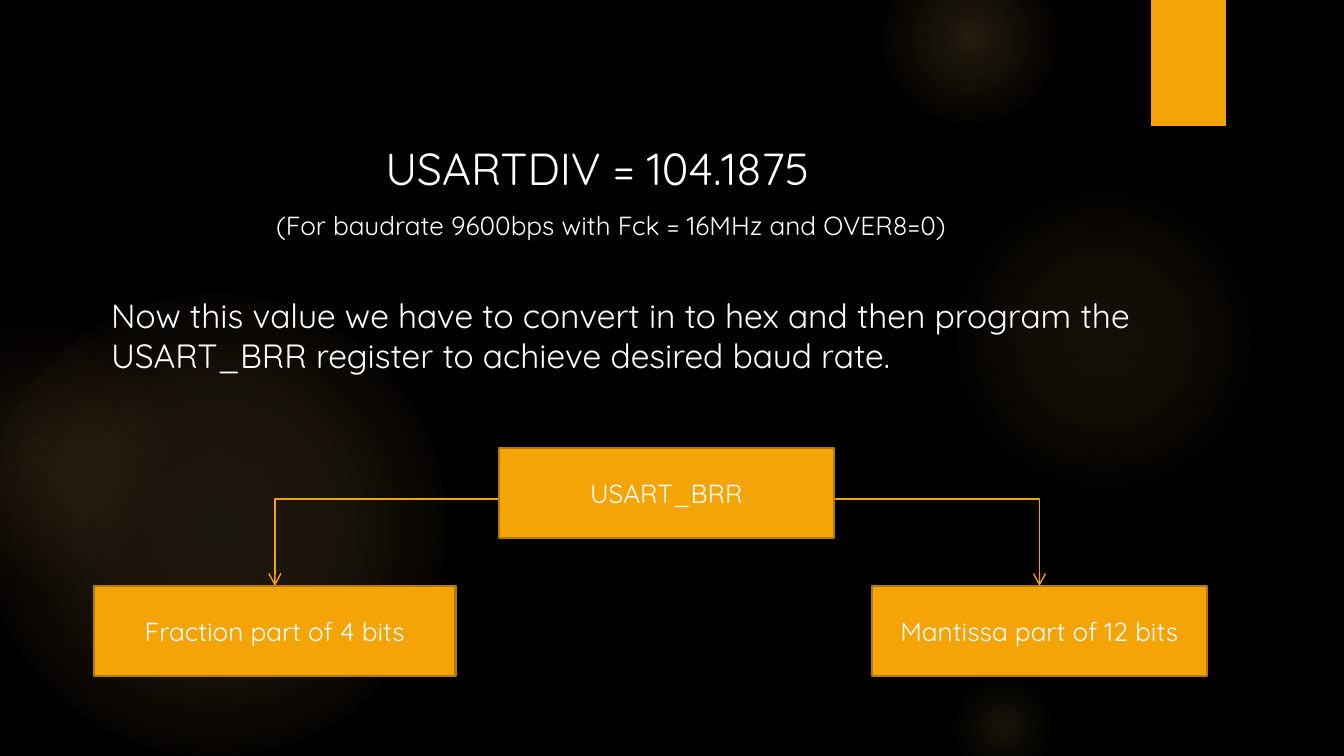
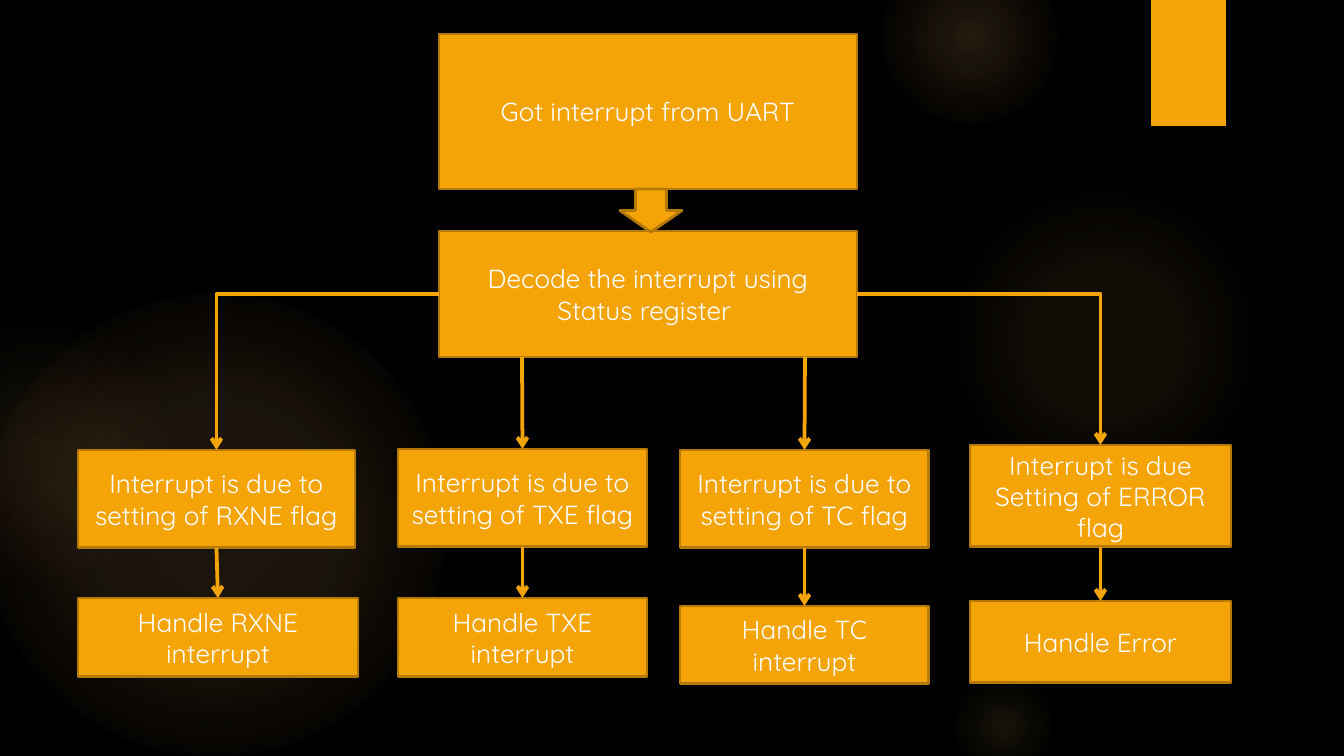
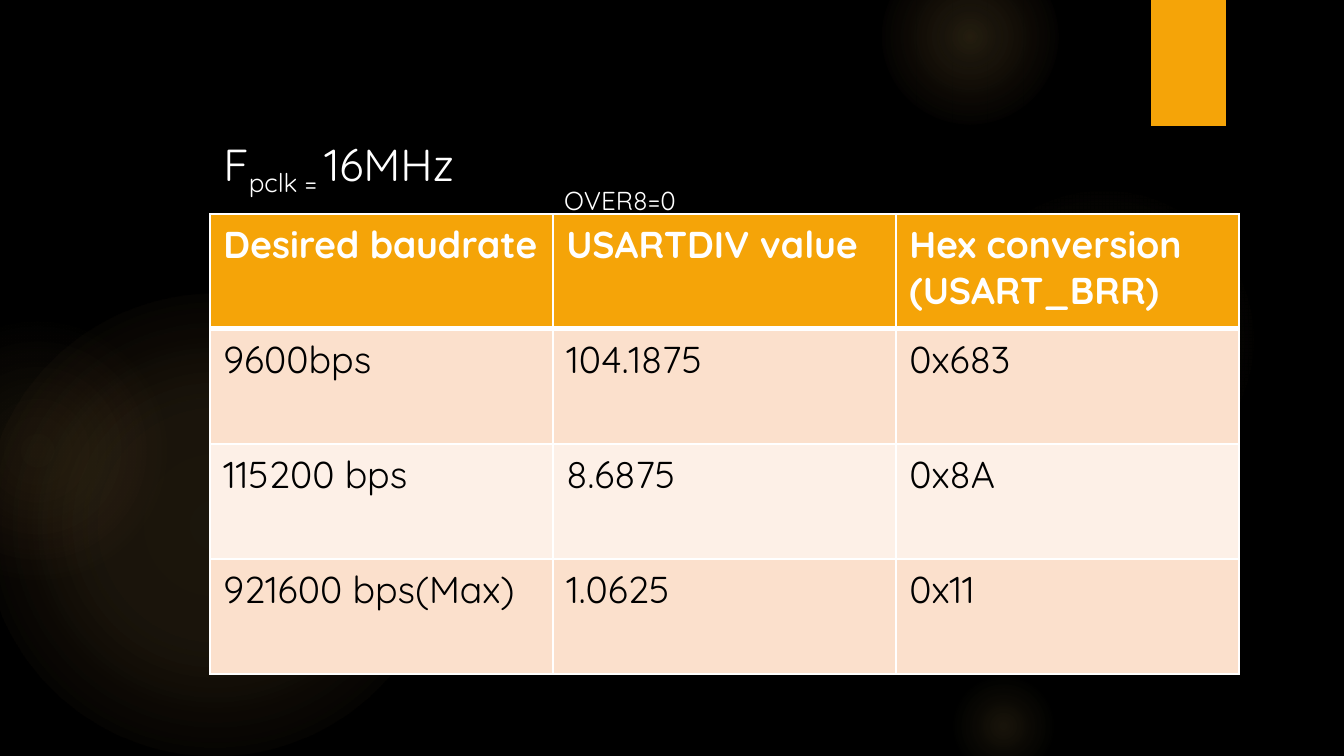
from lxml.etree import SubElement
from pptx import Presentation
from pptx.dml.color import RGBColor
from pptx.enum.shapes import MSO_CONNECTOR as Connector, MSO_SHAPE as Shape
from pptx.enum.text import MSO_ANCHOR as Anchor, MSO_AUTO_SIZE as AutoSize, PP_ALIGN as Align
from pptx.oxml.ns import qn
from pptx.util import Emu, Pt

PX = 9144000 / 1344
FONT = "Quicksand"
COLORS = {
    "background": "000000",
    "accent": "F5A408",
    "outline": "B57906",
    "light": "FFFFFF",
    "dark": "000000",
    "glow": "FAC96A",
    "ember": "F59B74",
    "band_odd": "FBE0CC",
    "band_even": "FDF0E7",
}
TITLE_ONLY, BLANK = 5, 6
TOP, LEFT, BOTTOM, RIGHT = range(4)

# Each glow: left, top, size, then (position %, colour, opacity %)
GLOWS = [
    (-17, 294, 462, [(0, "glow", 11), (36, "glow", 10), (75, "glow", 0)]),
    (-93, 320, 261, [(0, "glow", 8), (36, "glow", 5), (71, "ember", 0)]),
    (949, 185, 310, [(0, "glow", 7), (36, "glow", 6), (69, "glow", 0)]),
    (882, -51, 176, [(0, "glow", 14), (36, "glow", 7), (73, "glow", 0)]),
    (949, 672, 109, [(0, "glow", 10), (31, "glow", 5), (66, "glow", 0)]),
]


def px(*lengths):
    return [Emu(round(length * PX)) for length in lengths]


def rgb(name):
    return RGBColor.from_string(COLORS[name])


def format_text(text_frame, size, color="light", bold=False, align=Align.LEFT):
    for paragraph in text_frame.paragraphs:
        paragraph.alignment = align
        for run in paragraph.runs:
            run.font.name = FONT
            run.font.size = Pt(size)
            run.font.bold = bold
            run.font.color.rgb = rgb(color)


def lower(run):
    run._r.get_or_add_rPr().set("baseline", "-25000")


# Shared backdrop
def add_plain_shape(slide, kind, frame, fill=None):
    shape = slide.shapes.add_shape(kind, *px(*frame))
    shape.shadow.inherit = False
    shape.line.fill.background()
    if fill:
        shape.fill.solid()
        shape.fill.fore_color.rgb = rgb(fill)
    return shape


def fill_radial(shape, stops):
    shape.fill.background()
    properties = shape.element.spPr
    gradient = SubElement(properties, qn("a:gradFill"), rotWithShape="1")
    stop_list = SubElement(gradient, qn("a:gsLst"))
    for position, color, opacity in stops:
        stop = SubElement(stop_list, qn("a:gs"), pos=str(position * 1000))
        tint = SubElement(stop, qn("a:srgbClr"), val=COLORS[color])
        SubElement(tint, qn("a:alpha"), val=str(opacity * 1000))
    circle = SubElement(gradient, qn("a:path"), path="circle")
    SubElement(circle, qn("a:fillToRect"), l="50000", t="50000", r="50000", b="50000")
    properties.replace(properties.find(qn("a:noFill")), gradient)


def decorate_master(master, slide):
    """Draw the backdrop on a slide, then move it to the master."""
    master.background.fill.solid()
    master.background.fill.fore_color.rgb = rgb("background")
    backdrop = []
    for left, top, size, stops in GLOWS:
        glow = add_plain_shape(slide, Shape.OVAL, (left, top, size, size))
        fill_radial(glow, stops)
        backdrop.append(glow)
    backdrop.append(add_plain_shape(slide, Shape.RECTANGLE, (1151, 0, 75, 126), "accent"))
    for number, shape in enumerate(backdrop, start=20):
        shape.element.nvSpPr.cNvPr.set("id", str(number))
        master.shapes.element.append(shape.element)


# Slide elements
def place_text(shape, frame, parts, size, wrap):
    shape.left, shape.top, shape.width, shape.height = px(*frame)
    text_frame = shape.text_frame
    text_frame.word_wrap = wrap
    text_frame.auto_size = AutoSize.SHAPE_TO_FIT_TEXT
    text_frame.vertical_anchor = Anchor.TOP
    for part in parts:
        text_frame.paragraphs[0].add_run().text = part
    format_text(text_frame, size)
    return text_frame.paragraphs[0].runs


def add_title(slide, frame, *parts):
    return place_text(slide.shapes.title, frame, parts, 24, False)


def add_text(slide, frame, text, size, wrap=True):
    textbox = slide.shapes.add_textbox(*px(*frame))
    return place_text(textbox, frame, [text], size, wrap)


def add_box(slide, frame, text="", kind=Shape.RECTANGLE):
    box = add_plain_shape(slide, kind, frame, "accent")
    box.line.color.rgb = rgb("outline")
    box.line.width = Pt(1.5)
    if text:
        box.text_frame.text = text
        box.text_frame.word_wrap = True
        box.text_frame.vertical_anchor = Anchor.MIDDLE
        format_text(box.text_frame, 14, align=Align.CENTER)
    return box


def add_arrow(slide, target, start=None, source=None, side=BOTTOM, bent=False, width=2):
    """Arrow to the top of target, from a point or from a side of source."""
    kind = Connector.ELBOW if bent else Connector.STRAIGHT
    begin = px(*(start or (0, 0)))
    arrow = slide.shapes.add_connector(kind, *begin, *begin)
    if source is not None:
        arrow.begin_connect(source, side)
    arrow.end_connect(target, TOP)
    arrow.line.color.rgb = rgb("accent")
    arrow.line.width = Pt(width)
    properties = arrow.element.spPr
    if bent:
        properties.find(qn("a:prstGeom")).set("prst", "bentConnector2")
    SubElement(properties.find(qn("a:ln")), qn("a:tailEnd"), type="arrow")
    SubElement(properties, qn("a:effectLst"))


def set_borders(cell, bottom):
    properties = cell._tc.get_or_add_tcPr()
    for side, width in (("L", 1), ("R", 1), ("T", 1), ("B", bottom)):
        border = SubElement(properties, qn(f"a:ln{side}"), w=str(Pt(width)))
        fill = SubElement(border, qn("a:solidFill"))
        SubElement(fill, qn("a:srgbClr"), val=COLORS["light"])


def add_baud_table(slide, left, top, column_width, row_height, rows):
    size = (column_width * len(rows[0]), row_height * len(rows))
    frame = px(left, top, *size)
    table = slide.shapes.add_table(len(rows), len(rows[0]), *frame).table
    for column in table.columns:
        column.width = px(column_width)[0]
    for row_index, texts in enumerate(rows):
        header = row_index == 0
        band = "band_odd" if row_index % 2 else "band_even"
        table.rows[row_index].height = px(row_height)[0]
        for column_index, text in enumerate(texts):
            cell = table.cell(row_index, column_index)
            set_borders(cell, 3 if header else 1)
            cell.fill.solid()
            cell.fill.fore_color.rgb = rgb("accent" if header else band)
            cell.text_frame.text = text
            format_text(cell.text_frame, 20, "light" if header else "dark", header)


# Slides
def build_divider_slide(slide):
    add_title(slide, (372, 134, 474, 67), "USARTDIV = 104.1875")
    add_text(slide, (263, 203, 805, 46),
             "(For baudrate 9600bps with Fck = 16MHz and OVER8=0)", 14)
    add_text(slide, (98, 288, 1188, 95),
             "Now this value we have to convert in to hex and then program the "
             "USART_BRR register to achieve desired baud rate.", 18)
    fraction = add_box(slide, (94, 586, 362, 90), "Fraction part of 4 bits")
    mantissa = add_box(slide, (872, 586, 335, 90), "Mantissa part of 12 bits")
    for part, start_x in ((fraction, 569), (mantissa, 667)):
        add_arrow(slide, part, start=(start_x, 499), bent=True, width=0.75)
    add_box(slide, (499, 448, 335, 90), "USART_BRR")


def build_interrupt_slide(slide):
    add_box(slide, (439, 34, 418, 155), "Got interrupt from UART")
    decode = add_box(slide, (439, 231, 418, 126),
                     "Decode the interrupt using Status register ")
    add_box(slide, (620, 189, 62, 43), kind=Shape.DOWN_ARROW)

    # Each branch: flag box, handler box, and how the arrow leaves the decoder
    branches = [
        ((78, 450, 277, 98), "Interrupt is due to setting of RXNE flag",
         (78, 598, 280, 79), "Handle RXNE interrupt",
         {"source": decode, "side": LEFT, "bent": True}),
        ((398, 449, 249, 98), "Interrupt is due to setting of TXE flag",
         (398, 598, 249, 79), "Handle TXE interrupt", {"start": (522, 357)}),
        ((680, 450, 249, 98), "Interrupt is due to setting of TC flag",
         (680, 606, 249, 78), "Handle TC interrupt", {"start": (805, 357)}),
        ((970, 445, 261, 102), "Interrupt is due Setting of ERROR flag",
         (970, 601, 261, 82), "Handle Error",
         {"source": decode, "side": RIGHT, "bent": True}),
    ]
    for flag_frame, flag_text, handler_frame, handler_text, origin in branches:
        flag = add_box(slide, flag_frame, flag_text)
        handler = add_box(slide, handler_frame, handler_text)
        add_arrow(slide, flag, **origin)
        add_arrow(slide, handler, source=flag)


def build_baud_slide(slide):
    add_baud_table(slide, 210, 214, 343, 115, [
        ("Desired baudrate", "USARTDIV value", "Hex conversion\n(USART_BRR)"),
        ("9600bps", "104.1875", "0x683"),
        ("115200 bps", "8.6875", "0x8A"),
        ("921600 bps(Max)", "1.0625", "0x11"),
    ])
    clock_runs = add_title(slide, (210, 130, 286, 67), "F", "pclk = ", "16MHz")
    lower(clock_runs[1])
    lower(add_text(slide, (551, 148, 161, 50), "OVER8=0", 24, wrap=False)[0])


def main():
    presentation = Presentation()
    presentation.slide_width, presentation.slide_height = px(1344, 756)
    builders = [
        (TITLE_ONLY, build_divider_slide),
        (BLANK, build_interrupt_slide),
        (TITLE_ONLY, build_baud_slide),
    ]
    for layout, build in builders:
        slide = presentation.slides.add_slide(presentation.slide_layouts[layout])
        build(slide)
    decorate_master(presentation.slide_master, presentation.slides[0])
    presentation.save("out.pptx")


if __name__ == "__main__":
    main()
